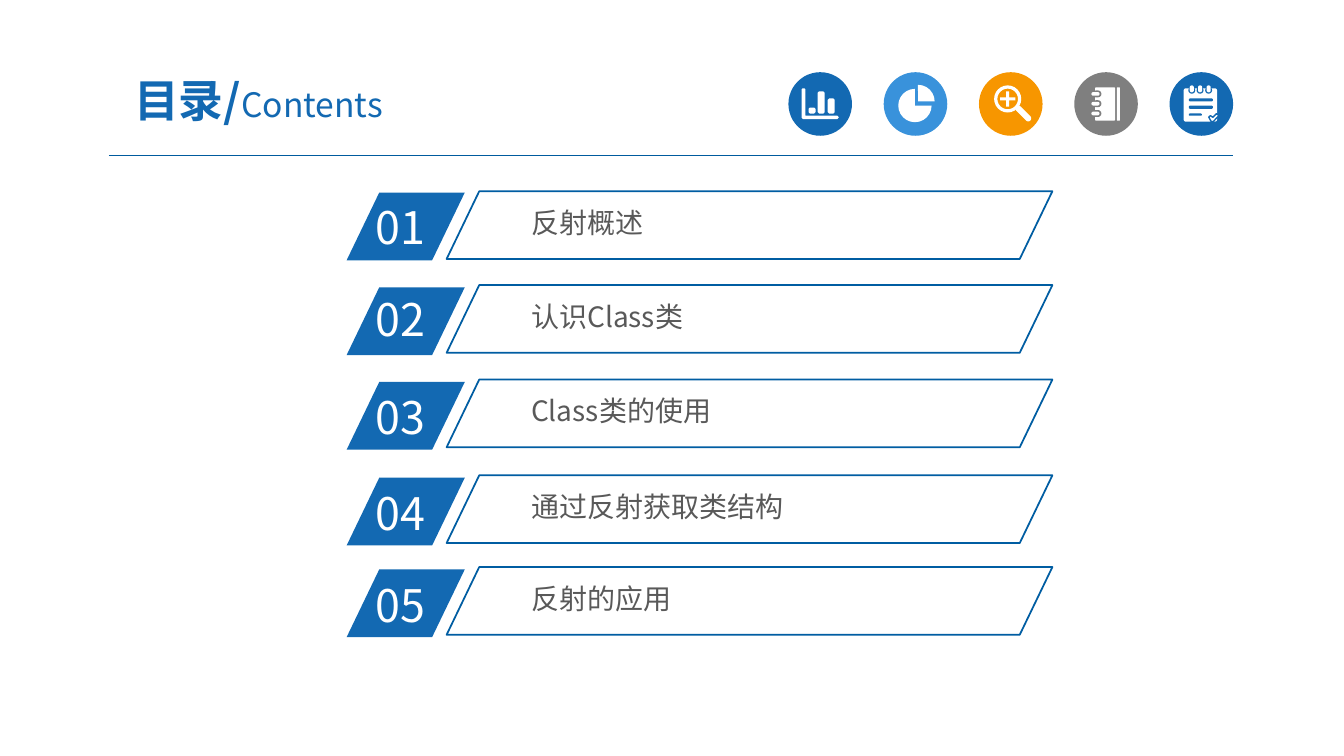
from pptx import Presentation
from pptx.dml.color import RGBColor
from pptx.enum import shapes, text
from pptx.oxml.ns import qn
from pptx.util import Pt

FONT = "Noto Sans CJK SC"
BLUE, SKY, AMBER, GRAY = "1369B2", "3992DB", "F79600", "7F7F7F"
WHITE, INK, EDGE, RULE = "FFFFFF", "595959", "005DA2", "005B9E"
KIND = shapes.MSO_SHAPE
ROUND, OVAL = KIND.ROUNDED_RECTANGLE, KIND.OVAL
SLANT = [0.482]

# number, label, top of tag, top of number, top of label, top of frame
ROWS = [
    ("01", "反射概述", 137.5, 139, 144.4, 136.6),
    ("02", "认识Class类", 205.2, 204.8, 211.4, 203.6),
    ("03", "Class类的使用", 272.8, 275, 278.6, 271.1),
    ("04", "通过反射获取类结构", 341.2, 343.4, 347, 339.5),
    ("05", "反射的应用", 406.7, 409, 412.6, 405),
]

# Icon parts: preset, (left, top, width, height) inside the disc, fill,
# adjustments, rotation
PIE = [
    (KIND.PIE, (10.4, 11.9, 23.8, 23.8), WHITE, [0, 162], 0),
    (KIND.PIE, (12.6, 9, 23.8, 23.8), WHITE, [162, 0], 0),
]
LENS = [
    (KIND.DONUT, (10.8, 9.4, 19.4, 19.4), WHITE, [0.12], 0),
    (KIND.CROSS, (15.1, 13.7, 10.8, 10.8), WHITE, [0.4], 0),
    (ROUND, (24.7, 27.4, 14, 4.3), WHITE, [0.5], 45),
]
BOOK = [
    (ROUND, (14.8, 10.8, 14.4, 23.8), WHITE, [0.06], 0),
    (ROUND, (30.4, 10.8, 2.2, 23.8), WHITE, [0.2], 0),
]
for mid in (15.5, 22.5, 29.5):
    BOOK += [
        (ROUND, (13, mid - 2.5, 6.4, 5), GRAY, [0.5], 0),
        (ROUND, (12.2, mid - 1.3, 5.8, 2.6), WHITE, [0.5], 0),
    ]
LIST = [
    (ROUND, (10.1, 11.5, 23.8, 23.8), WHITE, [0.06], 0),
    (ROUND, (13.7, 18.7, 17.3, 2.2), BLUE, [0.5], 0),
    (ROUND, (13.7, 23.8, 17.3, 2.4), BLUE, [0.5], 0),
    (ROUND, (13.7, 29.5, 9.4, 1.6), BLUE, [0.5], 0),
]
for pin in (13.4, 19.3, 25.4):
    LIST += [
        (ROUND, (pin, 10.5, 5, 4.8), BLUE, [0.5], 0),
        (ROUND, (pin + 1, 9.4, 3, 5), WHITE, [0.5], 0),
    ]
ICONS = [(BLUE, []), (SKY, PIE), (AMBER, LENS), (GRAY, BOOK), (BLUE, LIST)]

# Outlines inside the disc
AXES = [(9.4, 12.2), (10.1, 11.5), (11.4, 11.5), (12.1, 12.2), (12.1, 31),
        (35, 31), (36, 32.2), (35, 33.4), (10.4, 33.4), (9.4, 32.6)]
BARS = [(14.4, 25.2, 4.3), (20.9, 13.7, 15.8), (28.1, 18.7, 10.8)]
CHART = [AXES]
for x, y, h in BARS:
    CHART.append([(x, y + 1), (x + 1, y), (x + 4, y), (x + 5, y + 1),
                  (x + 5, y + h - 1), (x + 4, y + h), (x + 1, y + h),
                  (x, y + h - 1)])
TICK = [(28, 32), (29.2, 31), (31, 32.2), (33.5, 29.6),
        (35.2, 31), (31.2, 35.3), (29.8, 35.3)]
DISC, STEP, LEFT, TOP = 45.4, 68.06, 563.2, 51.6

deck = Presentation()
deck.slide_width, deck.slide_height = Pt(960), Pt(540)
page = deck.slides.add_slide(deck.slide_layouts[6])


def color(code):
    return RGBColor.from_string(code)


def paint(item, fill=None, line=None, width=1):
    item.shadow.inherit = False
    if fill:
        item.fill.solid()
        item.fill.fore_color.rgb = color(fill)
    else:
        item.fill.background()
    if line:
        item.line.color.rgb = color(line)
        item.line.width = Pt(width)
    else:
        item.line.fill.background()


def shape(kind, box, adjust=(), **style):
    item = page.shapes.add_shape(kind, *map(Pt, box))
    for i, value in enumerate(adjust):
        item.adjustments[i] = value
    paint(item, **style)
    return item


def trace(rings, x, **style):
    """Draw closed rings of points as one shape inside the disc at x."""
    pen = None
    for ring in rings:
        dots = [(Pt(x + dx), Pt(TOP + dy)) for dx, dy in ring]
        if pen:
            pen.move_to(*dots[0])
        else:
            pen = page.shapes.build_freeform(*dots[0])
        pen.add_line_segments(dots[1:], close=True)
    paint(pen.convert_to_shape(), **style)


def write(box, runs, pads=(7.2, 3.6), align=text.PP_ALIGN.LEFT,
          anchor=text.MSO_ANCHOR.TOP):
    """Add a text box of one paragraph; runs hold words, size, colour, bold."""
    frame = page.shapes.add_textbox(*map(Pt, box)).text_frame
    frame.word_wrap = True
    frame.vertical_anchor = anchor
    frame.margin_left = frame.margin_right = Pt(pads[0])
    frame.margin_top = frame.margin_bottom = Pt(pads[1])
    para = frame.paragraphs[0]
    para.alignment = align
    for words, size, ink, bold in runs:
        run = para.add_run()
        run.text = words
        font = run.font
        font.name, font.size, font.bold = FONT, Pt(size), bold
        font.color.rgb = color(ink)
        east = run._r.get_or_add_rPr().makeelement(
            qn("a:ea"), {"typeface": FONT})
        run._r.rPr.find(qn("a:latin")).addnext(east)


# Header
rule = page.shapes.add_connector(
    shapes.MSO_CONNECTOR.STRAIGHT, Pt(77.8), Pt(111.4), Pt(880.6), Pt(111.4))
rule.line.color.rgb = color(RULE)
rule.line.width = Pt(0.75)
props = rule._element.spPr
props.append(props.makeelement(qn("a:effectLst"), {}))

for i, (back, parts) in enumerate(ICONS):
    x = LEFT + i * STEP
    shape(OVAL, (x, TOP, DISC, DISC), fill=back)
    for kind, (dx, dy, w, h), fill, adjust, turn in parts:
        part = shape(kind, (x + dx, TOP + dy, w, h), adjust, fill=fill)
        part.rotation = turn

trace(CHART, LEFT, fill=WHITE)
trace([TICK], LEFT + (len(ICONS) - 1) * STEP, fill=WHITE, line=BLUE)

write((66.2, 45.4, 236.9, 51.8),
      [("目录/", 32, BLUE, True), ("Contents", 24, BLUE, False)],
      pads=(9.4, 5), align=text.PP_ALIGN.CENTER,
      anchor=text.MSO_ANCHOR.MIDDLE)

# Contents rows
for number, label, tag, digit, line, frame in ROWS:
    shape(KIND.PARALLELOGRAM, (247.6, tag, 84.4, 48.4), SLANT, fill=BLUE)
    write((261.2, digit, 80.6, 46), [(number, 32, WHITE, False)])
    write((374.2, line, 360, 29.5), [(label, 20, INK, False)],
          pads=(5.2, 2.6))
    shape(KIND.PARALLELOGRAM, (319, frame, 432.7, 48.4), SLANT,
          line=EDGE, width=1.25)

deck.save("out.pptx")
